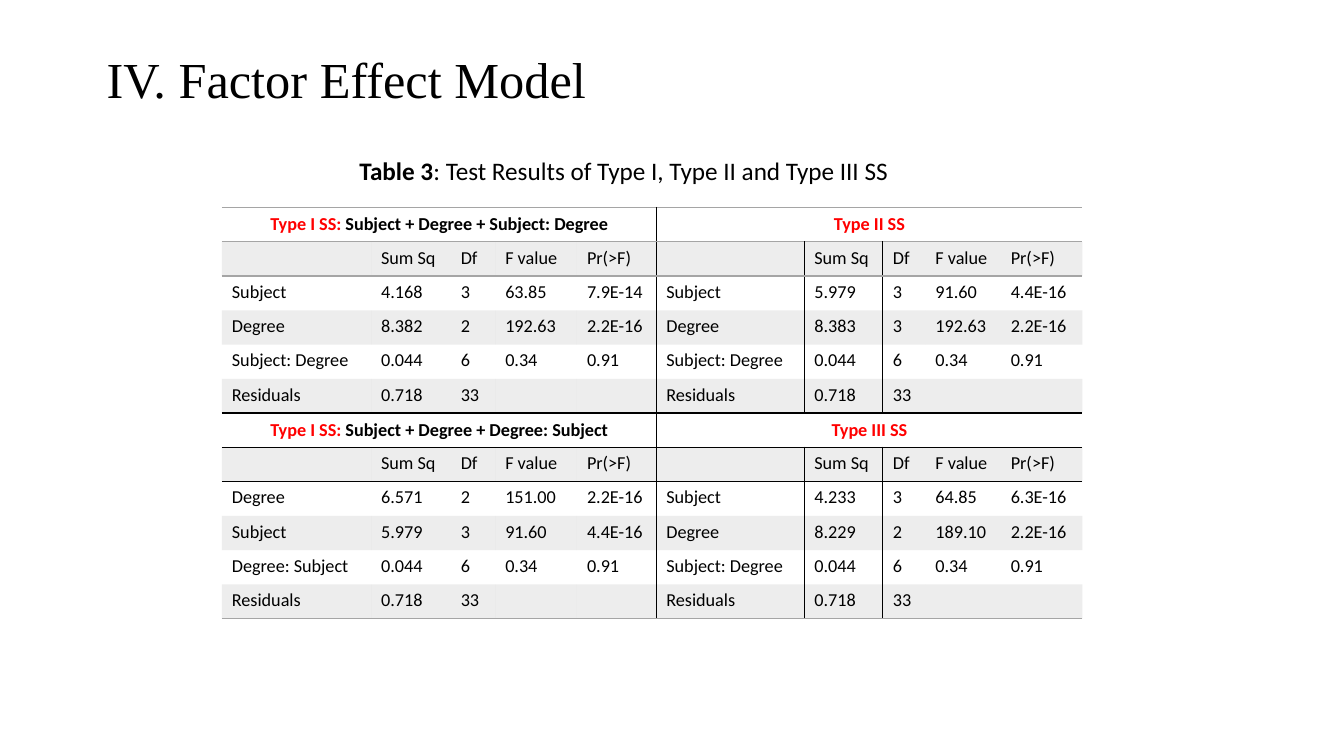
import pptx
import pptx.util
import pptx.dml.color
import pptx.enum.text
import pptx.oxml.ns
import lxml.etree

Cm = pptx.util.Cm
Pt = pptx.util.Pt
RGBColor = pptx.dml.color.RGBColor
Align = pptx.enum.text.PP_ALIGN
Anchor = pptx.enum.text.MSO_ANCHOR
qn = pptx.oxml.ns.qn

BLACK = RGBColor(0x00, 0x00, 0x00)
RED = RGBColor(0xFF, 0x00, 0x00)
GREY = RGBColor(0xA5, 0xA5, 0xA5)


def add_run(para, text, size, color=BLACK, bold=False, font="Calibri"):
    run = para.add_run()
    run.text = text
    run.font.size = Pt(size)
    run.font.name = font
    run.font.bold = bold
    run.font.color.rgb = color


def add_edge(props, side, color):
    line = lxml.etree.SubElement(props, qn("a:" + side), w="12700")
    fill = lxml.etree.SubElement(line, qn("a:solidFill"))
    lxml.etree.SubElement(fill, qn("a:srgbClr"), val=str(color))


prs = pptx.Presentation()
prs.slide_width = Cm(33.87)
prs.slide_height = Cm(19.05)
slide = prs.slides.add_slide(prs.slide_layouts[6])

title = slide.shapes.add_textbox(Cm(2.44), Cm(0.84), Cm(29.11), Cm(2.44)).text_frame
title.word_wrap = True
title.vertical_anchor = Anchor.MIDDLE
title.paragraphs[0].line_spacing = 0.9
add_run(title.paragraphs[0], "IV. Factor Effect Model", 36, font="Times New Roman")

HEAD = ["", "Sum Sq", "Df", "F value", "Pr(>F)"]
REST = ["Residuals", "0.718", "33", "", ""]
BOTH = ["Subject: Degree", "0.044", "6", "0.34", "0.91"]

tests = [
    (0, 0, "Type I SS: ", "Subject + Degree + Subject: Degree", [
        ["Subject", "4.168", "3", "63.85", "7.9E-14"],
        ["Degree", "8.382", "2", "192.63", "2.2E-16"],
        BOTH]),
    (0, 5, "Type II SS", "", [
        ["Subject", "5.979", "3", "91.60", "4.4E-16"],
        ["Degree", "8.383", "3", "192.63", "2.2E-16"],
        BOTH]),
    (6, 0, "Type I SS: ", "Subject + Degree + Degree: Subject", [
        ["Degree", "6.571", "2", "151.00", "2.2E-16"],
        ["Subject", "5.979", "3", "91.60", "4.4E-16"],
        ["Degree: Subject"] + BOTH[1:]]),
    (6, 5, "Type III SS", "", [
        ["Subject", "4.233", "3", "64.85", "6.3E-16"],
        ["Degree", "8.229", "2", "189.10", "2.2E-16"],
        BOTH]),
]

widths = [3.76, 2.01, 1.12, 2.06, 2.0, 3.73, 1.98, 1.07, 1.9, 2.06]
high = 10.36
table = slide.shapes.add_table(
    12, 10, Cm(5.59), Cm(5.23), Cm(sum(widths)), Cm(high)).table
table.first_row = False
table.horz_banding = False
style = table._tbl.tblPr.find(qn("a:tableStyleId"))
style.text = "{2D5ABB26-0587-4C30-8999-92F81FD0307C}"
for col, width in zip(table.columns, widths):
    col.width = Cm(width)
for row in table.rows:
    row.height = Cm(high / 12)

rules = {0: GREY, 1: GREY, 6: BLACK, 7: BLACK, 12: GREY}
for row in range(12):
    for col in range(10):
        cell = table.cell(row, col)
        props = cell._tc.get_or_add_tcPr()
        body = row % 6 > 0
        if col == 5 or (col == 6 and body):
            add_edge(props, "lnL", BLACK)
        if col == 4 or (col == 5 and body):
            add_edge(props, "lnR", BLACK)
        if row in rules:
            add_edge(props, "lnT", rules[row])
        if row + 1 in rules:
            add_edge(props, "lnB", rules[row + 1])
        if row % 2:
            cell.fill.solid()
            cell.fill.fore_color.rgb = GREY
            tint = props.find(qn("a:solidFill")).find(qn("a:srgbClr"))
            lxml.etree.SubElement(tint, qn("a:alpha"), val="20000")
        else:
            cell.fill.background()

for top, left, name, model, lines in tests:
    cell = table.cell(top, left)
    cell.merge(table.cell(top, left + 4))
    cell.vertical_anchor = Anchor.MIDDLE
    para = cell.text_frame.paragraphs[0]
    para.alignment = Align.CENTER
    add_run(para, name, 13, RED, True)
    if model:
        add_run(para, model, 13, BLACK, True)
    for row, line in enumerate([HEAD] + lines + [REST], top + 1):
        for col, text in enumerate(line, left):
            para = table.cell(row, col).text_frame.paragraphs[0]
            if text:
                add_run(para, text, 13)
            else:
                lxml.etree.SubElement(para._p, qn("a:endParaRPr"), sz="1300")

label = slide.shapes.add_textbox(Cm(8.81), Cm(3.78), Cm(13.87), Cm(1.02)).text_frame
label.word_wrap = True
label.auto_size = pptx.enum.text.MSO_AUTO_SIZE.SHAPE_TO_FIT_TEXT
add_run(label.paragraphs[0], "Table 3", 18, bold=True)
add_run(label.paragraphs[0], ": Test Results of Type I, Type II and Type III SS", 18)

prs.save("out.pptx")
